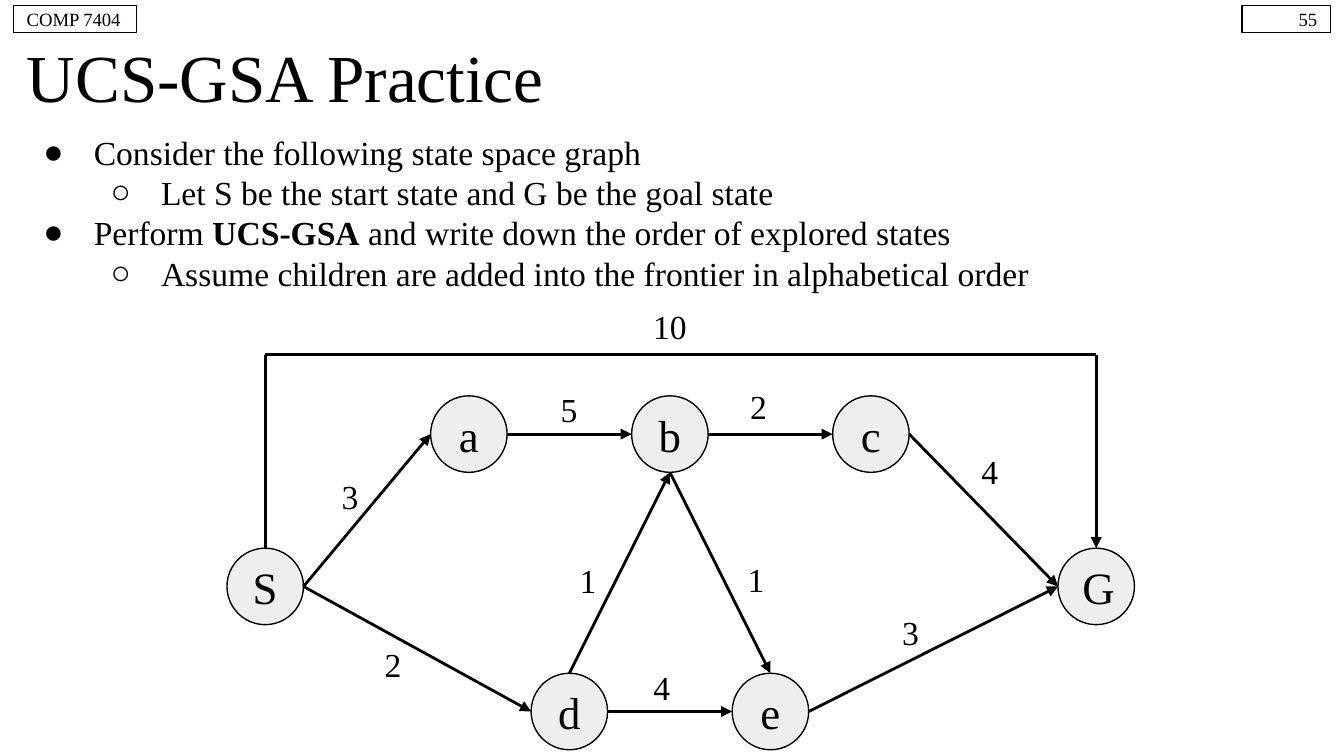
from dataclasses import dataclass

from lxml.etree import SubElement
from pptx import Presentation
from pptx.dml.color import RGBColor
from pptx.enum.shapes import MSO_CONNECTOR, MSO_SHAPE
from pptx.enum.text import MSO_ANCHOR, MSO_AUTO_SIZE, PP_ALIGN
from pptx.oxml.ns import qn
from pptx.util import Pt


@dataclass(frozen=True)
class Theme:
    ink: RGBColor = RGBColor(0x00, 0x00, 0x00)
    node: RGBColor = RGBColor(0xEE, 0xEE, 0xEE)
    font: str = "Times New Roman"
    title: int = 36
    state: int = 24
    body: int = 18
    header: int = 10
    outline: float = 0.75
    arrow: float = 1.5


THEME = Theme()
INSET = 7.2
DIAMETER = 41
COLUMN = 107.7
FIRST_COLUMN = 251.2
TOP_ROW, MIDDLE_ROW, BOTTOM_ROW = 232.6, 314.2, 381.2
BYPASS_Y = 190

STATES = {
    "S": (142.1, MIDDLE_ROW),
    "a": (FIRST_COLUMN, TOP_ROW),
    "b": (FIRST_COLUMN + COLUMN, TOP_ROW),
    "c": (FIRST_COLUMN + 2 * COLUMN, TOP_ROW),
    "d": (FIRST_COLUMN + COLUMN / 2, BOTTOM_ROW),
    "e": (FIRST_COLUMN + 1.5 * COLUMN, BOTTOM_ROW),
    "G": (587.3, MIDDLE_ROW),
}
SIDES = {"top": (0, -1), "left": (-1, 0), "bottom": (0, 1), "right": (1, 0)}
EDGES = [
    ("S", "right", "a", "left", "3", (187.6, 266)),
    ("S", "right", "d", "left", "2", (210.6, 356)),
    ("a", "right", "b", "left", "5", (304.9, 219.2)),
    ("b", "right", "c", "left", "2", (406.4, 217.8)),
    ("c", "right", "G", "left", "4", (530.3, 252.4)),
    ("d", "right", "e", "left", "4", (354.6, 368.3)),
    ("d", "top", "b", "bottom", "1", (315, 310.7)),
    ("b", "bottom", "e", "top", "1", (405, 310)),
    ("e", "right", "G", "left", "3", (487.8, 338.8)),
]
BULLETS = [
    (0, [("Consider the following state space graph", False)]),
    (1, [("Let S be the start state and G be the goal state", False)]),
    (0, [("Perform ", False), ("UCS-GSA", True),
         (" and write down the order of explored states", False)]),
    (1, [("Assume children are added into the frontier in alphabetical order", False)]),
]


def write(paragraph, text, size=THEME.body, bold=False, align=PP_ALIGN.LEFT):
    paragraph.alignment = align
    run = paragraph.add_run()
    run.text = text
    run.font.name = THEME.font
    run.font.size = Pt(size)
    run.font.bold = bold
    run.font.color.rgb = THEME.ink


def prepare_frame(shape, anchor=MSO_ANCHOR.MIDDLE):
    frame = shape.text_frame
    frame.word_wrap = True
    frame.auto_size = MSO_AUTO_SIZE.NONE
    frame.vertical_anchor = anchor
    frame.margin_left = frame.margin_right = Pt(INSET)
    frame.margin_top = frame.margin_bottom = Pt(INSET)
    return frame


def add_title(slide, text):
    title = slide.shapes.title
    title.left, title.top, title.width, title.height = Pt(7.2), Pt(20.2), Pt(705.6), Pt(41)
    write(prepare_frame(title).paragraphs[0], text, size=THEME.title)


def set_bullet(paragraph, level):
    paragraph.level = level
    properties = paragraph._p.get_or_add_pPr()
    properties.set("marL", str(Pt(36 * (level + 1))))
    properties.set("indent", str(-Pt(27)))
    color = SubElement(properties, qn("a:buClr"))
    SubElement(color, qn("a:srgbClr"), val=str(THEME.ink))
    SubElement(properties, qn("a:buFont"), typeface=THEME.font)
    SubElement(properties, qn("a:buChar"), char="●○"[level])


def add_bullets(slide, bullets):
    box = slide.shapes.add_textbox(Pt(7.2), Pt(63.4), Pt(705.6), Pt(332))
    frame = prepare_frame(box, MSO_ANCHOR.TOP)
    for index, (level, runs) in enumerate(bullets):
        paragraph = frame.add_paragraph() if index else frame.paragraphs[0]
        set_bullet(paragraph, level)
        for text, bold in runs:
            write(paragraph, text, bold=bold)


def add_outlined(slide, kind, left, top, width, height, text, **text_format):
    shape = slide.shapes.add_shape(kind, Pt(left), Pt(top), Pt(width), Pt(height))
    shape.shadow.inherit = False
    shape.fill.background()
    shape.line.color.rgb = THEME.ink
    shape.line.width = Pt(THEME.outline)
    write(prepare_frame(shape).paragraphs[0], text, **text_format)
    return shape


def add_header(slide, left, width, text, align):
    add_outlined(slide, MSO_SHAPE.RECTANGLE, left, 2.9, width, 14.6, text,
                 size=THEME.header, align=align)


def add_state(slide, name, center):
    left, top = (value - DIAMETER / 2 for value in center)
    circle = add_outlined(slide, MSO_SHAPE.OVAL, left, top, DIAMETER, DIAMETER, name,
                          size=THEME.state, align=PP_ALIGN.CENTER)
    circle.fill.solid()
    circle.fill.fore_color.rgb = THEME.node


def add_cost(slide, text, center):
    left, top = (value - DIAMETER / 2 for value in center)
    box = slide.shapes.add_textbox(Pt(left), Pt(top), Pt(DIAMETER), Pt(DIAMETER))
    write(prepare_frame(box).paragraphs[0], text, align=PP_ALIGN.CENTER)


def add_line(slide, start, end, arrow=True):
    points = [Pt(value) for value in (*start, *end)]
    line = slide.shapes.add_connector(MSO_CONNECTOR.STRAIGHT, *points)
    line.line.color.rgb = THEME.ink
    line.line.width = Pt(THEME.arrow)
    if arrow:
        SubElement(line.line._get_or_add_ln(), qn("a:tailEnd"), type="triangle")
    SubElement(line._element.spPr, qn("a:effectLst"))


def side_point(state, side):
    return tuple(center + direction * DIAMETER / 2
                 for center, direction in zip(STATES[state], SIDES[side]))


def add_bypass(slide):
    start, goal = side_point("S", "top"), side_point("G", "top")
    left_corner, right_corner = (start[0], BYPASS_Y), (goal[0], BYPASS_Y)
    add_line(slide, start, left_corner, arrow=False)
    add_line(slide, left_corner, right_corner, arrow=False)
    add_line(slide, right_corner, goal)
    add_cost(slide, "10", (STATES["b"][0], 174.6))


def main():
    presentation = Presentation()
    presentation.slide_width, presentation.slide_height = Pt(720), Pt(405)
    slide = presentation.slides.add_slide(presentation.slide_layouts[5])
    add_title(slide, "UCS-GSA Practice")
    add_bullets(slide, BULLETS)
    add_header(slide, 665.3, 47.5, "55", PP_ALIGN.RIGHT)
    add_header(slide, 7.2, 65.8, "COMP 7404", PP_ALIGN.LEFT)
    for name, center in STATES.items():
        add_state(slide, name, center)
    for source, source_side, target, target_side, cost, cost_center in EDGES:
        add_line(slide, side_point(source, source_side), side_point(target, target_side))
        add_cost(slide, cost, cost_center)
    add_bypass(slide)
    presentation.save("out.pptx")


if __name__ == "__main__":
    main()
